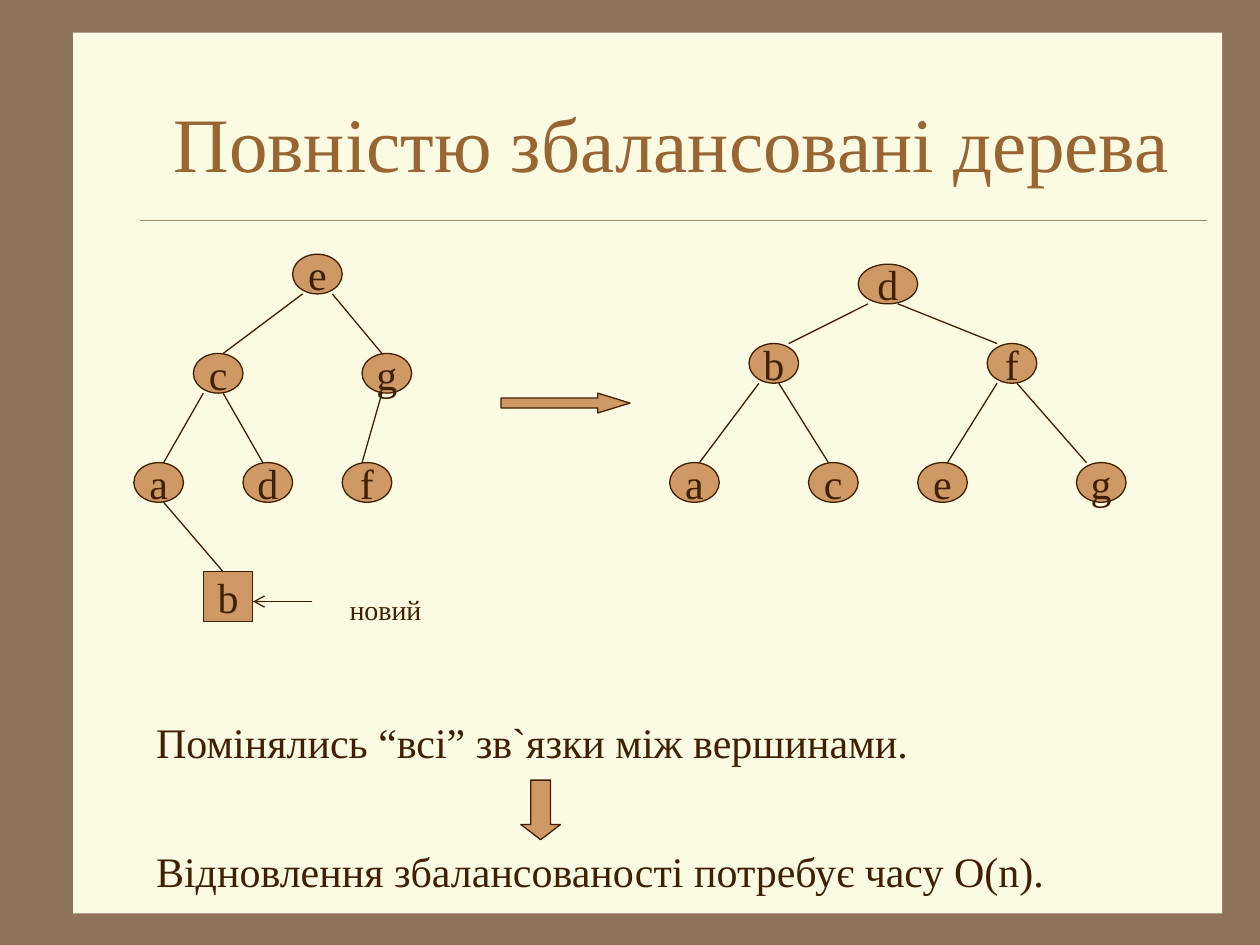
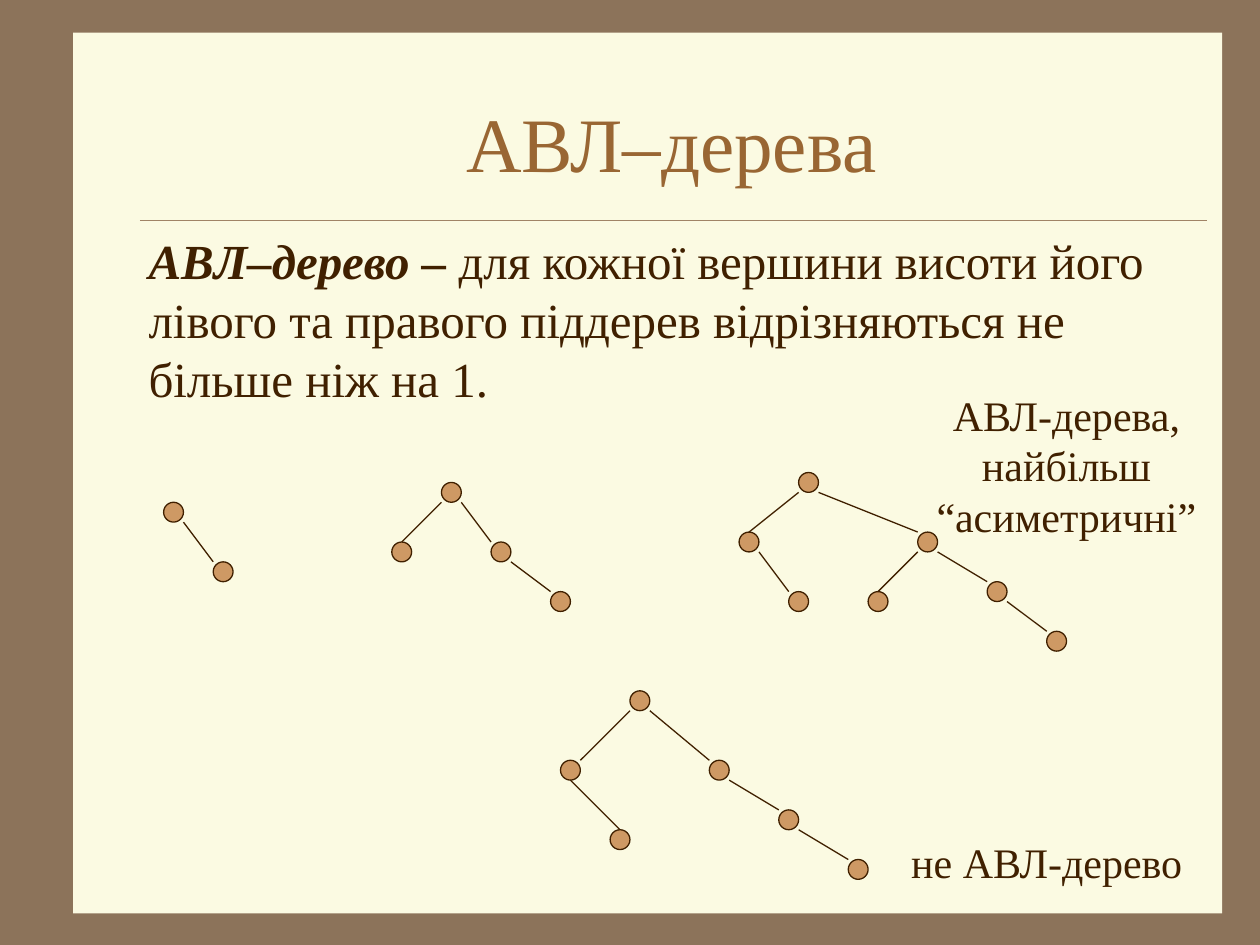
from typing import Any, NamedTuple

from lxml import etree
from pptx import Presentation
from pptx.dml import color as dml
from pptx.enum import shapes, text
from pptx.oxml import ns
from pptx.util import Pt

COLORS = {
    "frame": "8C735A",
    "panel": "FBFAE2",
    "rule": "A08366",
    "title": "996633",
    "ink": "402000",
    "node": "CE9964",
}
FONT = "Times New Roman"
SHAPE = shapes.MSO_SHAPE
ALIGN = text.PP_ALIGN
MIDDLE = text.MSO_ANCHOR.MIDDLE

UNIT = 5.67
GRID_LEFT, GRID_TOP = 76.5, 145.3
NODE, WIDE_NODE, NEW_NODE, DOT = (5, 4), (6, 4), (5, 5), (2, 2)

BEFORE_NODES = {
    "e": (16, 0),
    "c": (6, 10), "g": (23, 10),
    "a": (0, 21), "d": (11, 21), "f": (21, 21),
}
BEFORE_EDGES = {"ec": (1, 3), "eg": (4, 2), "ca": (1, 3), "cd": (3, 2), "gf": (2, 2), "ab": (3, 2)}
AFTER_NODES = {
    "b": (62, 9), "f": (86, 9),
    "a": (54, 21), "c": (68, 21), "e": (79, 21), "g": (95, 21),
}
AFTER_EDGES = {"db": (1, 4), "df": (4, 1), "ba": (1, 3), "bc": (3, 2), "fe": (1, 3), "fg": (3, 1)}

AVL_TREES = [
    {"": (3, 25), "R": (8, 31)},
    {"": (31, 23), "L": (26, 29), "R": (36, 29), "RR": (42, 34)},
    {"": (67, 22), "L": (61, 28), "LR": (66, 34), "R": (79, 28),
     "RL": (74, 34), "RR": (86, 33), "RRR": (92, 38)},
]
NOT_AVL_TREE = {"": (50, 44), "L": (43, 51), "LR": (48, 58), "R": (58, 51),
                "RR": (65, 56), "RRR": (72, 61)}
NOT_AVL_EDGES = {"L": (0, 2), "LR": (1, 1)}
BRANCH_ENDS = {"L": (0, 1), "R": (2, 0)}


class Node(NamedTuple):
    shape: Any
    column: int
    row: int
    columns: int
    rows: int


def grid_point(column, row):
    return GRID_LEFT + column * UNIT, GRID_TOP + row * UNIT


def rgb(name):
    return dml.RGBColor.from_string(COLORS[name])


def style_span(span, size, color="ink"):
    span.font.name = FONT
    span.font.size = Pt(size)
    span.font.color.rgb = rgb(color)


def add_shape(page, kind, left, top, width, height, fill="node"):
    shape = page.shapes.add_shape(kind, Pt(left), Pt(top), Pt(width), Pt(height))
    shape.shadow.inherit = False
    shape.fill.solid()
    shape.fill.fore_color.rgb = rgb(fill)
    shape.line.color.rgb = rgb("ink")
    shape.line.width = Pt(0.75)
    return shape


def add_grid_shape(page, kind, column, row, columns, rows):
    return add_shape(page, kind, *grid_point(column, row), columns * UNIT, rows * UNIT)


def add_line(page, start, end, color="ink", width=0.75):
    ends = (Pt(length) for length in (*start, *end))
    line = page.shapes.add_connector(shapes.MSO_CONNECTOR.STRAIGHT, *ends)
    line.line.color.rgb = rgb(color)
    line.line.width = Pt(width)
    etree.SubElement(line._element.spPr, ns.qn("a:effectLst"))
    return line


def add_arrow_line(page, start, end):
    line = add_line(page, start, end)
    outline = line._element.spPr.find(ns.qn("a:ln"))
    etree.SubElement(outline, ns.qn("a:tailEnd"), type="arrow")


def add_block_arrow(page, kind, column, row, columns, rows, head):
    arrow = add_grid_shape(page, kind, column, row, columns, rows)
    arrow.adjustments[0] = 0.5
    arrow.adjustments[1] = head


def add_text(page, words, left, top, width, height, size=24, align=ALIGN.LEFT, color="ink"):
    box = page.shapes.add_textbox(Pt(left), Pt(top), Pt(width), Pt(height))
    frame = box.text_frame
    frame.word_wrap = True
    frame.text = words
    para = frame.paragraphs[0]
    para.alignment = align
    for span in para.runs:
        style_span(span, size, color)
    return box


def add_node(page, place, size, label="", kind=SHAPE.OVAL):
    shape = add_grid_shape(page, kind, *place, *size)
    if label:
        frame = shape.text_frame
        frame.word_wrap = False
        frame.vertical_anchor = MIDDLE
        frame.text = label
        para = frame.paragraphs[0]
        para.alignment = ALIGN.CENTER
        style_span(para.runs[0], 24)
    return Node(shape, *place, *size)


def add_edge(page, parent, child, start, end):
    bottom = grid_point(parent.column + start, parent.row + parent.rows)
    top = grid_point(child.column + end, child.row)
    line = add_line(page, bottom, top)
    if end * 2 == child.columns:
        line.end_connect(child.shape, 0)


def add_labelled_nodes(page, places):
    return {label: add_node(page, place, NODE, label) for label, place in places.items()}


def add_labelled_edges(page, nodes, edges):
    for (parent, child), (start, end) in edges.items():
        add_edge(page, nodes[parent], nodes[child], start, end)


def add_dot_tree(page, places, special_edges=None):
    edge_ends = special_edges or {}
    dots = {branch: add_node(page, place, DOT) for branch, place in places.items()}
    for branch, dot in dots.items():
        if branch:
            start, end = edge_ends.get(branch, BRANCH_ENDS[branch[-1]])
            add_edge(page, dots[branch[:-1]], dot, start, end)


def add_page(deck, title):
    page = deck.slides.add_slide(deck.slide_layouts[6])
    page.background.fill.solid()
    page.background.fill.fore_color.rgb = rgb("frame")
    panel = add_shape(page, SHAPE.RECTANGLE, 41.8, 18.7, 656.6, 503.3, "panel")
    panel.line.fill.background()
    add_line(page, (79.9, 126), (689.8, 126), "rule", 0.25)
    box = add_text(page, title, 77.8, 36, 612, 90, 44, ALIGN.CENTER, "title")
    box.text_frame.vertical_anchor = MIDDLE
    return page


def build_balanced_page(deck):
    page = add_page(deck, "Повністю збалансовані дерева")

    before = add_labelled_nodes(page, BEFORE_NODES)
    before["b"] = add_node(page, (7, 32), NEW_NODE, "b", SHAPE.RECTANGLE)
    add_labelled_edges(page, before, BEFORE_EDGES)
    add_arrow_line(page, grid_point(18, 35), grid_point(12, 35))
    add_text(page, "новий", 184.3, 334.8, 72, 26, 16, ALIGN.CENTER)

    after = add_labelled_nodes(page, AFTER_NODES)
    after["d"] = add_node(page, (73, 1), WIDE_NODE, "d")
    add_labelled_edges(page, after, AFTER_EDGES)

    add_block_arrow(page, SHAPE.RIGHT_ARROW, 37, 14, 13, 2, 1.62)
    add_text(page, "Помінялись “всі” зв`язки між вершинами.", 82.1, 406.1, 447.8, 64.8)
    add_block_arrow(page, SHAPE.DOWN_ARROW, 39, 53, 4, 6, 0.38)
    add_text(page, "Відновлення збалансованості потребує часу O(n).", 82.1, 479.5, 550, 36)


def build_avl_page(deck):
    page = add_page(deck, "АВЛ–дерева")

    body = add_text(page, "АВЛ–дерево –", 77.8, 128.2, 612, 380, 28)
    para = body.text_frame.paragraphs[0]
    term = para.runs[0]
    term.font.bold = True
    term.font.italic = True
    definition = para.add_run()
    definition.text = (
        " для кожної вершини висоти його лівого та правого піддерев "
        "відрізняються не більше ніж на 1."
    )
    style_span(definition, 28)

    for tree in AVL_TREES:
        add_dot_tree(page, tree)
    add_dot_tree(page, NOT_AVL_TREE, NOT_AVL_EDGES)

    add_text(page, "АВЛ-дерева,\vнайбільш “асиметричні”", 524.4, 218.9, 170, 93.6,
             align=ALIGN.CENTER)
    add_text(page, "не АВЛ-дерево", 507.4, 474.2, 181.4, 36, align=ALIGN.CENTER)


def main():
    deck = Presentation()
    deck.slide_width = Pt(720)
    deck.slide_height = Pt(540)
    build_balanced_page(deck)
    build_avl_page(deck)
    deck.save("out.pptx")


if __name__ == "__main__":
    main()
